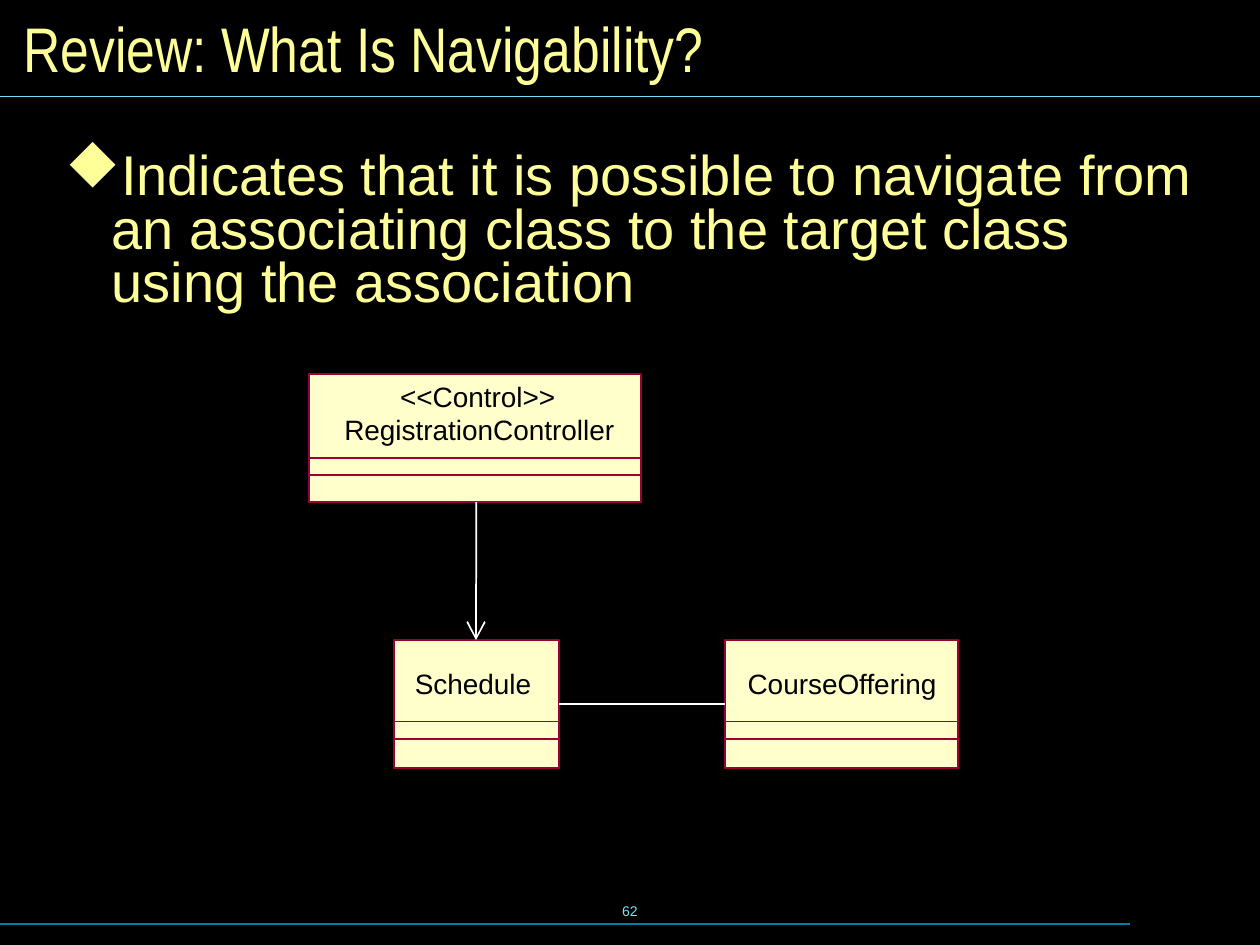
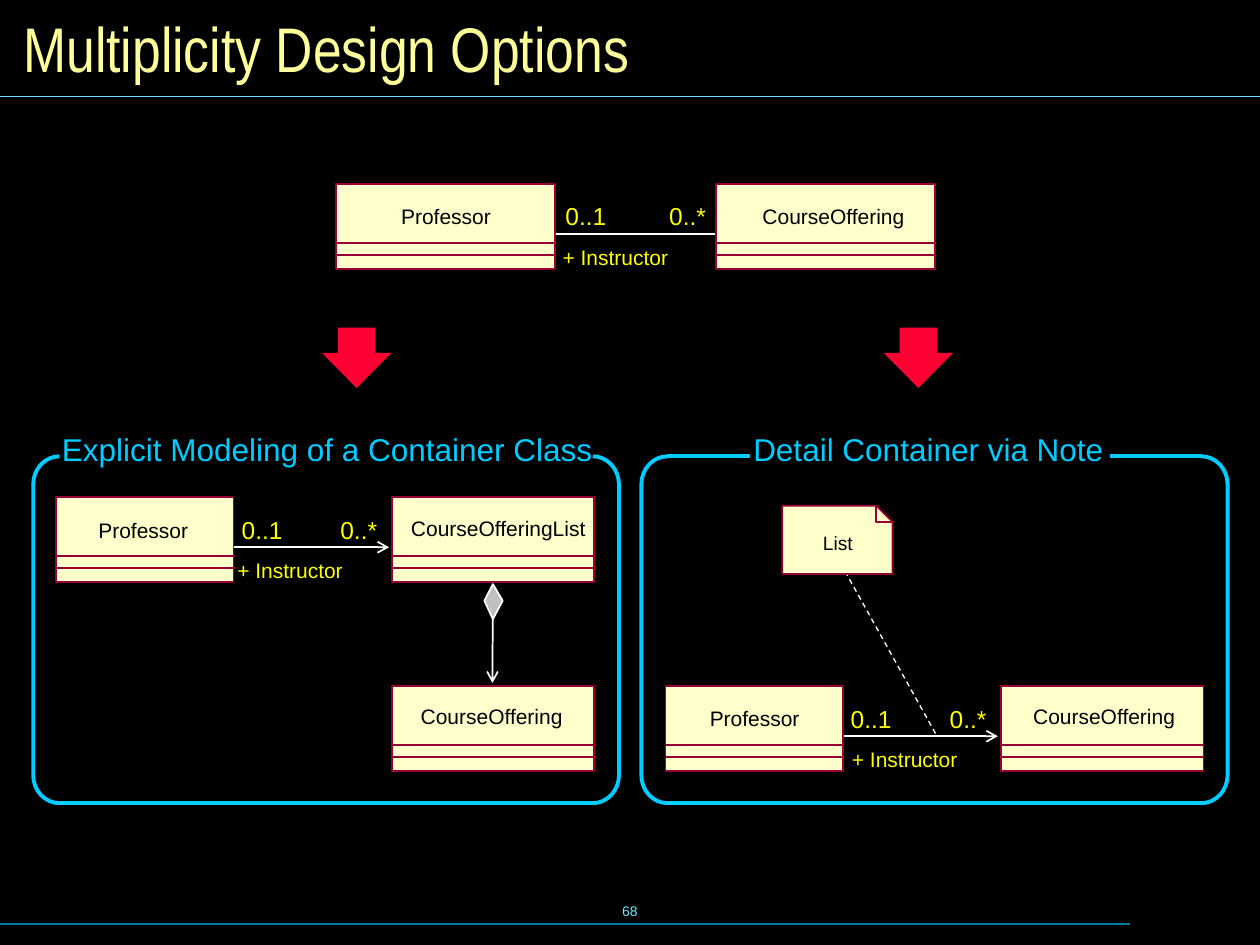
from dataclasses import dataclass
from math import cos, pi, sin

from lxml import etree
from pptx import Presentation
from pptx.dml.color import RGBColor
from pptx.enum.dml import MSO_LINE_DASH_STYLE as Dash
from pptx.enum.shapes import MSO_CONNECTOR as Link, MSO_SHAPE as Preset
from pptx.enum.text import MSO_ANCHOR as Anchor, PP_ALIGN as Align
from pptx.oxml.ns import qn
from pptx.util import Pt


@dataclass(frozen=True)
class Theme:
    back: str = "000000"
    ink: str = "000000"
    title: str = "FFFF99"
    rule: str = "73E1FF"
    foot_rule: str = "007E9F"
    paper: str = "FFFFCC"
    border: str = "990033"
    link: str = "FFFFFF"
    diamond: str = "C0C0C0"
    multiplicity: str = "FFFF00"
    frame: str = "00CCFF"
    arrow: str = "FF0033"
    font: str = "Arial"
    title_font: str = "Arial Narrow"
    bullet_font: str = "Wingdings"
    bullet: str = "u"  # the solid diamond of the bullet font
    title_size: float = 36
    body_size: float = 32
    caption_size: float = 18
    class_size: float = 16
    multiplicity_size: float = 14
    small_size: float = 12
    note_size: float = 11
    page_size: float = 8
    thin: float = 0.75
    line: float = 1
    thick: float = 2.25


T = Theme()

# Content; all positions are points: (left, top, width, height)
NAVIGABILITY = {
    "title": "Review: What Is Navigability?",
    "page": "62",
    "definition": "Indicates that it is possible to navigate from an associating "
                  "class to the target class using the association",
    # box, then the height of the lower compartments, then (text, centre x, top)
    "classes": [
        ((176.5, 213.8, 190, 73), (25, 15.3),
         [("<<Control>>", 273, 216.7), ("RegistrationController", 273.9, 235.8)]),
        ((414.2, 365.8, 133.4, 73), (26.5, 16.5), [("CourseOffering", 481.2, 380.9)]),
        ((225.3, 365.8, 94.2, 73), (26.5, 16.5), [("Schedule", 270.3, 380.9)]),
    ],
    # from, to, arrowhead size
    "links": [((414, 402.4), (319.2, 402.4), None),
              ((272.2, 286.9), (272, 365.8), "lg")],
}

OPTIONS = {
    "title": "Multiplicity Design Options",
    "page": "68",
    # name, (left, top, width), centre x and top of the name
    "classes": [
        ("Professor", (192, 105.1, 125.3), 254.9, 112.5),
        ("CourseOffering", (409, 105.1, 125.3), 476.3, 112.5),
        ("Professor", (32, 284, 101.5), 81.9, 292),
        ("CourseOfferingList", (224, 284, 115.5), 284.8, 291.3),
        ("CourseOffering", (224, 392, 115.5), 281, 398.5),
        ("Professor", (380.2, 392, 101.5), 431.3, 399.6),
        ("CourseOffering", (572.2, 392, 115.5), 631, 398.5),
    ],
    # line from x to x at y, left of "0..1", left of "0..*", left of role, arrowhead
    "associations": [
        (317, 409.3, 133.7, 316, 375.3, 304.9, None),
        (133.3, 222.3, 312.7, 131, 187.4, 119, "med"),
        (481.2, 570.2, 420.7, 479, 535.6, 470.2, "med"),
    ],
    "multiplicities": ("0..1", "0..*"),
    "role": "+ Instructor",
    "arrow_lefts": (184, 505),
    # caption, its left and width, frame left and right, top line pieces
    "frames": [
        ("Explicit Modeling of a Container Class", 26.8, 323.5, (19, 353.7), []),
        ("Detail Container via Note", 421.8, 218.3, (366.5, 701.5),
         [(381, 428.5), (634.2, 687)]),
    ],
    "aggregation": ((281.6, 347), (281.4, 390.3)),
    "diamond": [(281.7, 333.8), (276.8, 343.3), (281.7, 353.8), (287.3, 343.3)],
    "note": "List",
    "note_box": (447, 289, 63, 39),
    "note_fold": 9.3,
    "note_link": ((480.4, 322), (534.8, 419.5)),
}


def rgb(code):
    return RGBColor.from_string(code)


def style(shape, fill=None, line=None, width=T.line):
    shape.shadow.inherit = False
    if fill:
        shape.fill.solid()
        shape.fill.fore_color.rgb = rgb(fill)
    else:
        shape.fill.background()
    if line:
        shape.line.color.rgb = rgb(line)
        shape.line.width = Pt(width)
    else:
        shape.line.fill.background()
    return shape


def add_box(slide, box, preset=Preset.RECTANGLE, **look):
    return style(slide.shapes.add_shape(preset, *map(Pt, box)), **look)


def add_line(slide, start, end, color, width=T.line, arrow=None, dashed=False):
    link = slide.shapes.add_connector(Link.STRAIGHT, *map(Pt, (*start, *end)))
    link.line.color.rgb = rgb(color)
    link.line.width = Pt(width)
    if dashed:
        link.line.dash_style = Dash.DASH
    if arrow:
        etree.SubElement(link.line._ln, qn("a:tailEnd"), type="arrow", w=arrow, len=arrow)
    etree.SubElement(link._element.spPr, qn("a:effectLst"))


def add_outline(slide, points, closed=False, **look):
    first, *rest = [(Pt(x), Pt(y)) for x, y in points]
    pen = slide.shapes.build_freeform(*first)
    pen.add_line_segments(rest, close=closed)
    return style(pen.convert_to_shape(), **look)


def add_bullet(paragraph):
    props = paragraph._p.get_or_add_pPr()
    props.set("marL", str(Pt(26.6)))
    props.set("indent", str(-Pt(26.6)))
    etree.SubElement(props, qn("a:buFont"), typeface=T.bullet_font,
                     pitchFamily="2", charset="2")
    etree.SubElement(props, qn("a:buChar"), char=T.bullet)


def add_text(slide, text, box, size, color, font=T.font, align=Align.LEFT,
             anchor=Anchor.TOP, inset=(7.2, 3.6), wrap=True, spacing=None, bullet=False):
    frame = slide.shapes.add_textbox(*map(Pt, box)).text_frame
    frame.word_wrap = wrap
    frame.vertical_anchor = anchor
    frame.margin_left = frame.margin_right = Pt(inset[0])
    frame.margin_top = frame.margin_bottom = Pt(inset[1])
    paragraph = frame.paragraphs[0]
    if bullet:
        add_bullet(paragraph)
    paragraph.alignment = align
    if spacing:
        paragraph.line_spacing = spacing
    run = paragraph.add_run()
    run.text = text
    run.font.name = font
    run.font.size = Pt(size)
    run.font.color.rgb = rgb(color)


def add_centred(slide, text, centre, top, size, color=T.ink, width=130, **more):
    add_text(slide, text, (centre - width / 2, top, width, 20), size, color,
             align=Align.CENTER, **more)


def start_slide(deck, content):
    """Background, title, rules and page number shared by every slide."""
    slide = deck.slides.add_slide(deck.slide_layouts[6])
    slide.background.fill.solid()
    slide.background.fill.fore_color.rgb = rgb(T.back)
    add_text(slide, content["page"], (246, 502.6, 228, 36), T.page_size, T.rule,
             align=Align.CENTER, anchor=Anchor.MIDDLE)
    add_line(slide, (0, 528), (645.8, 528), T.foot_rule, T.thin)
    add_line(slide, (0, 55), (720, 55), T.rule, T.thin)
    add_text(slide, content["title"], (6.2, 6, 708, 42), T.title_size, T.title,
             T.title_font, anchor=Anchor.MIDDLE)
    return slide


def add_frame(slide, left, right, pieces):
    """Two side brackets with rounded corners, a bottom line and top pieces."""
    top, bottom, rx, ry = 260.8, 459, 15, 16
    turns = [i * pi / 16 for i in range(9)]
    for edge, side in ((left, 1), (right, -1)):
        upper = [(edge + side * rx * (1 - sin(a)), top + ry * (1 - cos(a)))
                 for a in turns]
        lower = [(x, top + bottom - y) for x, y in reversed(upper)]
        add_outline(slide, upper + lower, line=T.frame, width=T.thick)
    add_line(slide, (left + 13, bottom), (right - 13, bottom), T.frame, T.thick)
    for start, end in pieces:
        add_line(slide, (start, top), (end, top), T.frame, T.thick)


def add_association(slide, start, end, y, low, high, role, arrow):
    add_line(slide, (start, y), (end, y), T.link, arrow=arrow)
    for text, left in zip(OPTIONS["multiplicities"], (low, high)):
        add_text(slide, text, (left, y - 22.2, 38, 24), T.multiplicity_size,
                 T.multiplicity, wrap=False)
    add_centred(slide, OPTIONS["role"], role + 46.8, y + 2.6, T.small_size,
                T.multiplicity)


def build_navigability(deck):
    slide = start_slide(deck, NAVIGABILITY)
    add_text(slide, NAVIGABILITY["definition"], (28.6, 82.8, 668.9, 121), T.body_size,
             T.title, inset=(8.64, 4.32), spacing=0.8, bullet=True)
    for box, compartments, names in NAVIGABILITY["classes"]:
        left, top, width, height = box
        add_box(slide, box, fill=T.paper, line=T.border)
        for depth in compartments:
            add_box(slide, (left, top + height - depth, width, depth), line=T.border)
        for text, centre, name_top in names:
            add_centred(slide, text, centre, name_top, T.class_size, width=180,
                        inset=(0, 0))
    for start, end, arrow in NAVIGABILITY["links"]:
        add_line(slide, start, end, T.link, arrow=arrow)


def build_options(deck):
    slide = start_slide(deck, OPTIONS)

    # Framed options and the arrows that lead to them
    for caption, left, width, sides, pieces in OPTIONS["frames"]:
        add_frame(slide, *sides, pieces)
        add_text(slide, caption, (left, 249.1, width, 21.6), T.caption_size, T.frame,
                 inset=(8.64, 4.32), spacing=0.6)
    for left in OPTIONS["arrow_lefts"]:
        arrow = add_box(slide, (left, 187.2, 39.6, 34.5), Preset.DOWN_ARROW, fill=T.arrow)
        arrow.adjustments[0], arrow.adjustments[1] = 0.54, 0.58

    # Associations, classes and aggregation
    for association in OPTIONS["associations"]:
        add_association(slide, *association)
    for name, (left, top, width), centre, name_top in OPTIONS["classes"]:
        add_box(slide, (left, top, width, 48.8), fill=T.paper, line=T.border)
        for drop in (40.6, 33.6):
            add_line(slide, (left + 0.6, top + drop), (left + width + 0.6, top + drop),
                     T.border)
        add_centred(slide, name, centre, name_top, T.small_size)
    add_line(slide, *OPTIONS["aggregation"], T.link, arrow="med")
    add_outline(slide, OPTIONS["diamond"], closed=True, fill=T.diamond, line=T.link)

    # Note with a folded corner
    add_line(slide, *OPTIONS["note_link"], T.link, T.thin, dashed=True)
    left, top, width, height = OPTIONS["note_box"]
    right, bottom, fold = left + width, top + height, OPTIONS["note_fold"]
    add_outline(slide, [(right - fold, top), (left, top), (left, bottom),
                        (right, bottom), (right, top + fold)],
                closed=True, fill=T.paper, line=T.border)
    add_outline(slide, [(right - fold, top), (right - fold, top + fold),
                        (right, top + fold)], line=T.border)
    add_centred(slide, OPTIONS["note"], 478.8, 300.3, T.note_size)


def main():
    deck = Presentation()
    deck.slide_width, deck.slide_height = Pt(720), Pt(540)
    build_navigability(deck)
    build_options(deck)
    deck.save("out.pptx")


if __name__ == "__main__":
    main()
